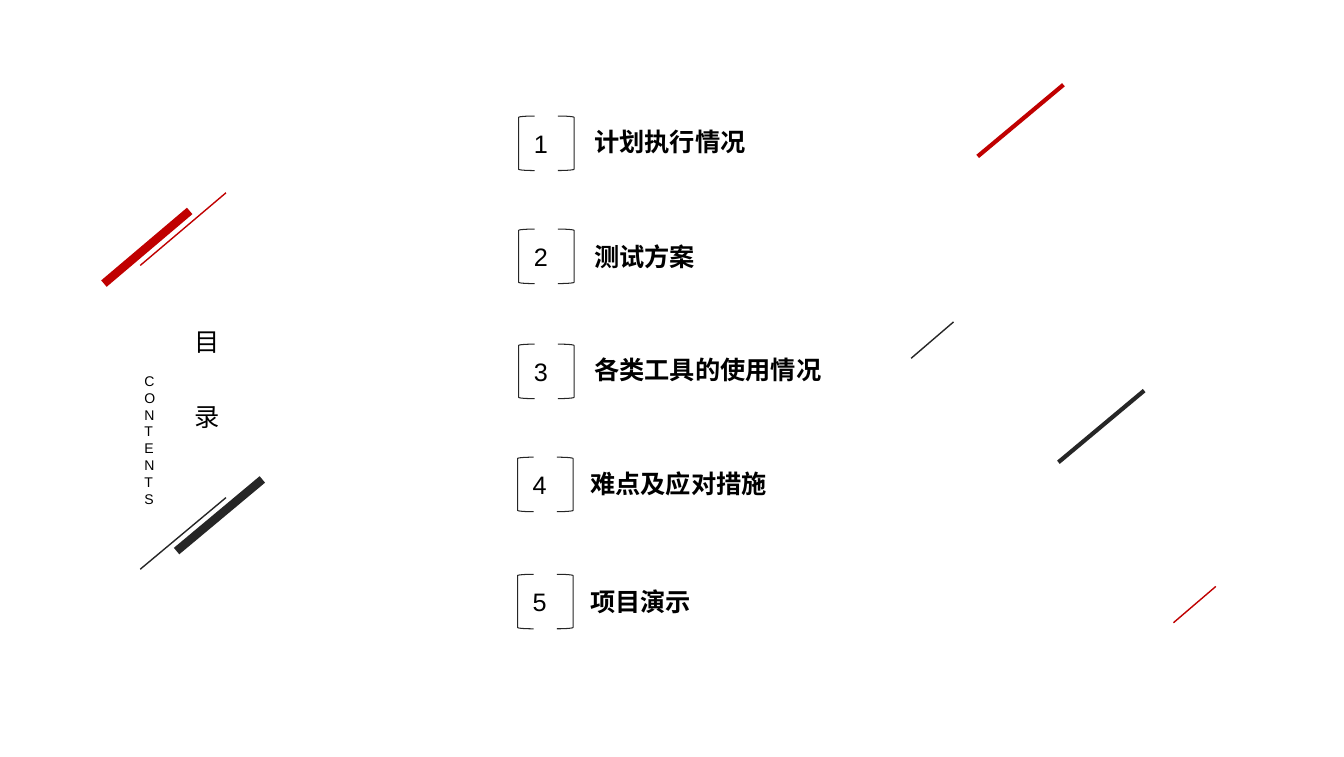
from pptx import Presentation
from pptx.util import Inches, Pt
from pptx.dml.color import RGBColor
from pptx.enum.shapes import MSO_CONNECTOR as Conn, MSO_SHAPE as Kind
from pptx.oxml.ns import qn
from lxml.etree import SubElement

RED, DARK, BLACK = "C00000", "262626", "000000"
CJK = "Noto Sans CJK SC"

deck = Presentation()
deck.slide_width, deck.slide_height = Inches(13.32), Inches(7.5)
slide = deck.slides.add_slide(deck.slide_layouts[6])
shapes = slide.shapes


def color(code):
    return RGBColor.from_string(code)


def write(text, x, y, w, h, font="Arial", size=18, bold=False, wrap=False, space=1.0):
    frame = shapes.add_textbox(Inches(x), Inches(y), Inches(w), Inches(h)).text_frame
    frame.word_wrap = wrap
    frame.margin_left = frame.margin_right = Inches(0.05)
    frame.margin_top = frame.margin_bottom = Inches(0.05)
    frame.text = text
    for para in frame.paragraphs:
        para.line_spacing = space
        for run in para.runs:
            run.font.size, run.font.bold, run.font.name = Pt(size), bold, font
            run.font.color.rgb = color(BLACK)
            # East Asian text takes its own font entry
            SubElement(run._r.get_or_add_rPr(), qn("a:ea")).set("typeface", font)


# Slanted strokes: right end, run, rise, colour, width
strokes = [
    (1.88, 2.09, 0.85, 0.72, RED, 6),
    (2.24, 1.91, 0.85, 0.72, RED, 1),
    (2.6, 4.75, 0.85, 0.71, DARK, 6),
    (2.24, 4.93, 0.85, 0.71, DARK, 1),
    (10.54, 0.84, 0.85, 0.71, RED, 3),
    (9.45, 3.19, 0.42, 0.36, DARK, 1),
    (12.05, 5.81, 0.42, 0.36, RED, 1),
    (11.34, 3.87, 0.85, 0.71, DARK, 3),
]
for x, y, run, rise, tone, width in strokes:
    stroke = shapes.add_connector(
        Conn.STRAIGHT, Inches(x), Inches(y), Inches(x - run), Inches(y + rise))
    stroke.line.color.rgb = color(tone)
    stroke.line.width = Pt(width)
    SubElement(stroke._element.spPr, qn("a:effectLst"))

# Title, with a narrow box that stacks the letters
write("目\n录", 1.88, 2.73, 0.43, 1.32, font=CJK, space=2.5)
write("CONTENTS", 1.38, 3.64, 0.25, 1.32, size=10, wrap=True)

# Contents: bracket left and top, label left and top, label width, label
items = [
    (5.14, 1.15, 5.84, 1.2, 1.62, "计划执行情况"),
    (5.14, 2.27, 5.84, 2.34, 1.11, "测试方案"),
    (5.14, 3.41, 5.84, 3.46, 2.37, "各类工具的使用情况"),
    (5.13, 4.53, 5.8, 4.59, 1.87, "难点及应对措施"),
    (5.13, 5.69, 5.8, 5.76, 1.11, "项目演示"),
]
for num, (x, y, left, top, wide, label) in enumerate(items, 1):
    write(str(num), x + 0.1, y + 0.07, 0.25, 0.38)
    for kind, shift in ((Kind.LEFT_BRACKET, 0), (Kind.RIGHT_BRACKET, 0.39)):
        mark = shapes.add_shape(
            kind, Inches(x + shift), Inches(y), Inches(0.16), Inches(0.54))
        mark.adjustments[0] = 0.08
        mark.shadow.inherit = False
        mark.fill.background()
        mark.line.color.rgb = color(DARK)
        mark.line.width = Pt(0.75)
    write(label, left, top, wide, 0.4, font=CJK, bold=True)

deck.save("out.pptx")
